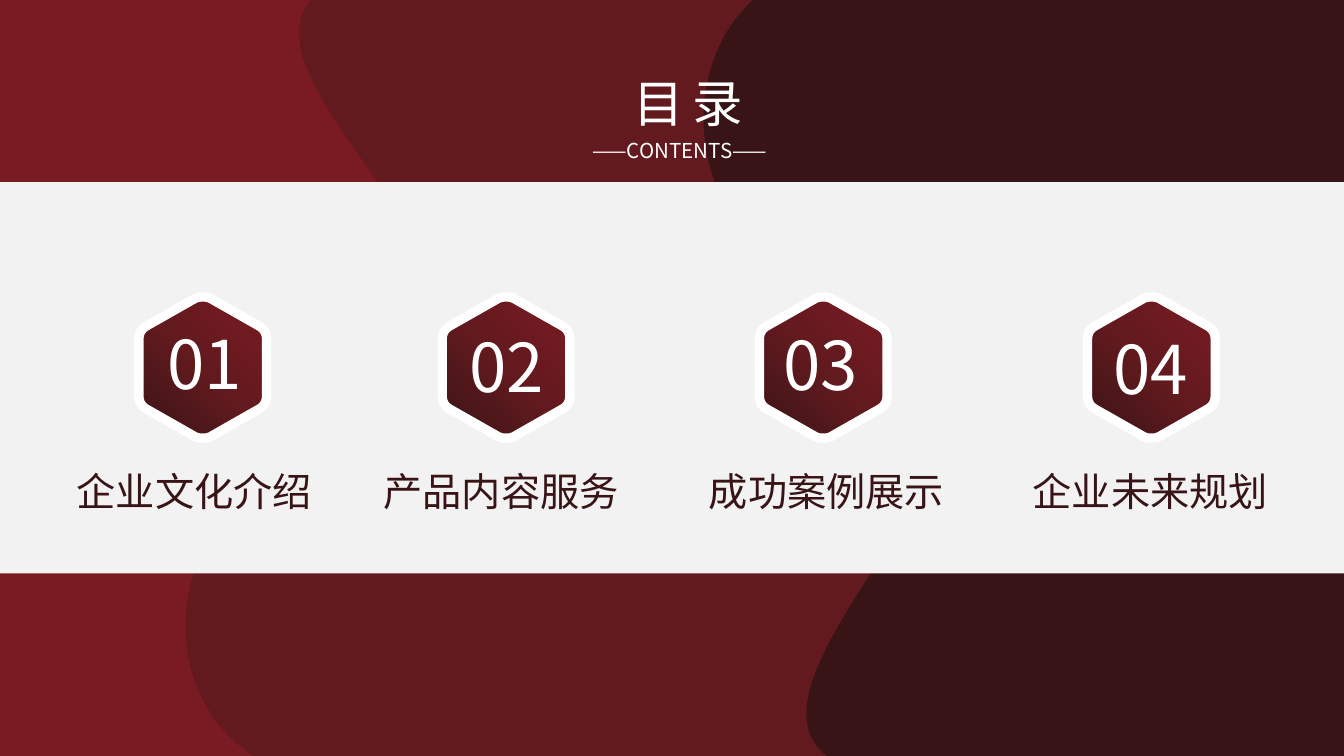
"""Build a contents slide with four numbered hexagon badges."""
import copy
from dataclasses import dataclass
from typing import Any

import pptx
import pptx.dml.color
import pptx.enum.shapes
import pptx.enum.text
import pptx.oxml.ns
import pptx.util
from lxml import etree

COLOURS = {"red": "7A1B23", "wine": "621A1E", "dark": "381416",
           "band": "F2F2F2", "white": "FFFFFF"}
FONT = "Noto Sans CJK SC"

Point = tuple[float, float]
Segment = tuple[Point, ...]


@dataclass
class Outline:
    colour: str
    turn: int
    start: Point
    segments: list[Segment]


@dataclass
class Label:
    text: str
    left: float
    top: float
    width: float
    height: float
    size: float
    colour: str = "white"
    font: str = FONT
    spacing: float = 0
    wrap: bool = True
    grow: bool = True
    inset: Point = (7.2, 3.6)


@dataclass
class Chapter:
    number: str
    title: str
    centre: float
    number_left: float
    number_top: float
    title_left: float


WAVES = [
    Outline("red", 270, (0, 0), [
        ((166.3, 0),), ((164.2, 2.9),),
        ((137.5, 43.9), (250.6, 131.8), (239, 177.8)),
        ((226.1, 230.4), (121.7, 264.2), (105.8, 301.7)),
        ((95, 327.6), (95, 370.1), (126.7, 398.2)),
        ((135.4, 405),), ((0, 405),)]),
    Outline("dark", 90, (403.2, 0), [
        ((728.64, 0),), ((728.64, 405),), ((442.8, 405),),
        ((396.7, 368.6), (513.4, 270.7), (502.6, 221.8)),
        ((491, 169.9), (397.4, 135.4), (383, 97.9)),
        ((373, 72), (373, 29.5), (401.8, 1.4))]),
]
HEXAGON_START = (-4, -37.1)
HEXAGON_HALF = [
    ((-2.8, -37.8), (-1.4, -37.8), (0, -37.8)),
    ((1.4, -37.8), (2.8, -37.8), (4, -37.1)),
    ((30.6, -22),), ((32.9, -20.6), (34.2, -18.2), (34.2, -15.5)),
    ((34.2, 15.5),), ((34.2, 18.2), (32.9, 20.6), (30.6, 22)),
    ((4, 37.1),)]
HEXAGON_MIDDLE = 196.9
CHAPTERS = [
    Chapter("01", "企业文化介绍", 108.6, 71.5, 181.4, 35),
    Chapter("02", "产品内容服务", 271.1, 233.3, 183.2, 199.4),
    Chapter("03", "成功案例展示", 441, 401.6, 182.4, 373.7),
    Chapter("04", "企业未来规划", 616.8, 578.2, 184.6, 547.2),
]
HEADINGS = [
    Label("——CONTENTS——", 243.2, 70.6, 241.9, 20.9, 11),
    Label("目录", 309.6, 35.3, 118.1, 40.3, 27, font="Montserrat", spacing=4.5),
]


def rgb(name: str) -> pptx.dml.color.RGBColor:
    """Look up a palette colour."""
    return pptx.dml.color.RGBColor.from_string(COLOURS[name])


def turn_back(point: Point, centre: Point, turn: int) -> Point:
    """Undo a quarter turn of a page point about a centre."""
    sign = 1 if turn == 90 else -1
    across, down = point[0] - centre[0], point[1] - centre[1]
    return centre[0] + sign * down, centre[1] - sign * across


def draw_outline(shapes: Any, outline: Outline) -> Any:
    """Draw a closed, turned outline of lines and cubic curves."""
    anchors = [outline.start] + [segment[-1] for segment in outline.segments]
    centre = tuple((min(axis) + max(axis)) / 2 for axis in zip(*anchors))

    def place(point: Point) -> tuple[int, int]:
        """Give a point in the frame of the unturned shape."""
        x, y = turn_back(point, centre, outline.turn)
        return pptx.util.Pt(x), pptx.util.Pt(y)

    corners = [place(anchor) for anchor in anchors]
    builder = shapes.build_freeform(*corners[0], scale=1.0)
    builder.add_line_segments(corners[1:], close=True)
    shape = builder.convert_to_shape()
    lines = shape._element.spPr.findall(".//" + pptx.oxml.ns.qn("a:lnTo"))
    for line, segment in zip(lines, outline.segments):
        if len(segment) == 3:
            line.tag = pptx.oxml.ns.qn("a:cubicBezTo")
            for index, control in enumerate(segment[:2]):
                x, y = place(control)
                point = etree.Element(pptx.oxml.ns.qn("a:pt"),
                                      x=str(x - shape.left), y=str(y - shape.top))
                line.insert(index, point)
    shape.rotation = outline.turn
    shape.shadow.inherit = False
    return shape


def fill_plain(shape: Any, colour: str) -> None:
    """Fill a shape with one colour and no line."""
    shape.fill.solid()
    shape.fill.fore_color.rgb = rgb(colour)
    shape.line.fill.background()


def fill_gradient(shape: Any, names: tuple[str, str, str]) -> None:
    """Fill a shape with a diagonal blend of three colours."""
    shape.fill.gradient()
    shape.fill.gradient_angle = 315
    stop_list = shape._element.spPr.find(".//" + pptx.oxml.ns.qn("a:gsLst"))
    stop_list.insert(1, copy.deepcopy(stop_list[0]))
    for stop, name, position in zip(shape.fill.gradient_stops, names, (0, 0.5, 1)):
        stop.color.rgb = rgb(name)
        stop.position = position


def draw_label(shapes: Any, label: Label) -> None:
    """Draw a centred line of text."""
    lengths = (label.left, label.top, label.width, label.height)
    box = shapes.add_textbox(*map(pptx.util.Pt, lengths))
    frame = box.text_frame
    frame.word_wrap = label.wrap
    frame.margin_left = frame.margin_right = pptx.util.Pt(label.inset[0])
    frame.margin_top = frame.margin_bottom = pptx.util.Pt(label.inset[1])
    if label.grow:
        frame.auto_size = pptx.enum.text.MSO_AUTO_SIZE.SHAPE_TO_FIT_TEXT
    else:
        frame.vertical_anchor = pptx.enum.text.MSO_ANCHOR.MIDDLE
    para = frame.paragraphs[0]
    para.alignment = pptx.enum.text.PP_ALIGN.CENTER
    span = para.add_run()
    span.text = label.text
    span.font.size = pptx.util.Pt(label.size)
    span.font.color.rgb = rgb(label.colour)
    span.font.name = label.font
    properties = span.font._element
    etree.SubElement(properties, pptx.oxml.ns.qn("a:ea"), typeface=label.font)
    if label.spacing:
        properties.set("spc", str(round(label.spacing * 100)))


def draw_badge(shapes: Any, chapter: Chapter) -> None:
    """Draw a hexagon with its chapter number."""
    opposite = [tuple((-x, -y) for x, y in segment) for segment in HEXAGON_HALF]
    start, *segments = [
        tuple((chapter.centre + x, HEXAGON_MIDDLE + y) for x, y in segment)
        for segment in [(HEXAGON_START,), *HEXAGON_HALF, *opposite]]
    hexagon = draw_outline(shapes, Outline("red", 90, start[0], segments))
    fill_gradient(hexagon, ("red", "wine", "dark"))
    hexagon.line.color.rgb = rgb("white")
    hexagon.line.width = pptx.util.Pt(5)
    draw_label(shapes, Label(chapter.number, chapter.number_left, chapter.number_top,
                             76.3, 25.2, 36, grow=False))


def main() -> None:
    """Build and save the deck."""
    deck = pptx.Presentation()
    deck.slide_width, deck.slide_height = pptx.util.Pt(720), pptx.util.Pt(405)
    page = deck.slides.add_slide(deck.slide_layouts[6])
    page.background.fill.solid()
    page.background.fill.fore_color.rgb = rgb("wine")
    for wave in WAVES:
        fill_plain(draw_outline(page.shapes, wave), wave.colour)
    band = page.shapes.add_shape(pptx.enum.shapes.MSO_SHAPE.RECTANGLE,
                                 *map(pptx.util.Pt, (0, 97.6, 728.64, 209.6)))
    band.shadow.inherit = False
    fill_plain(band, "band")
    for chapter in CHAPTERS:
        draw_label(page.shapes, Label(chapter.title, chapter.title_left, 247.7, 138.2, 31,
                                      21, "dark", wrap=False, inset=(5, 2.9)))
    for chapter in CHAPTERS:
        draw_badge(page.shapes.add_group_shape().shapes, chapter)
    heading_group = page.shapes.add_group_shape()
    for heading in HEADINGS:
        draw_label(heading_group.shapes, heading)
    deck.save("out.pptx")


if __name__ == "__main__":
    main()
